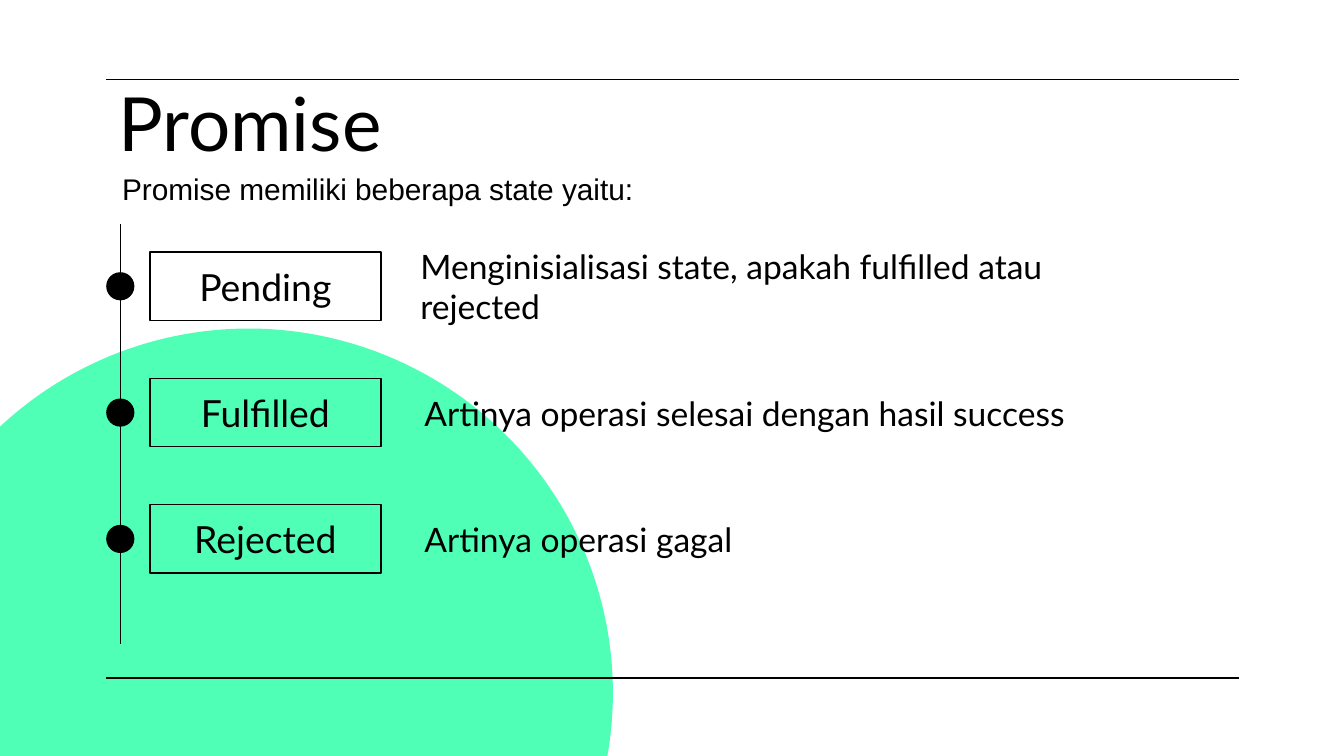
from dataclasses import dataclass

from lxml import etree
from pptx import Presentation
from pptx import util as u
from pptx.dml.color import RGBColor
from pptx.enum import shapes, text
from pptx.oxml.ns import qn

EMU_PER_PX = 4572  # 200 px to the inch
SLIDE_WIDTH, SLIDE_HEIGHT = 2000, 1125
BLACK = RGBColor(0x00, 0x00, 0x00)
MINT = RGBColor(0x4F, 0xFF, 0xB6)

LEFT, RIGHT = 158, 1844
TIMELINE_X = 179
FIRST_ROW_TOP, ROW_PITCH, ROW_HEIGHT = 375, 188, 102
DOT_SIZE, DOT_OFFSET = 42, 30
MEANING_RIGHT = 1726


@dataclass(frozen=True)
class Box:
    left: int
    top: int
    width: int
    height: int

    def emu(self) -> tuple[int, ...]:
        return tuple(px(n) for n in (self.left, self.top, self.width, self.height))


@dataclass(frozen=True)
class State:
    name: str
    meaning: str
    meaning_left: int = 612


STATES = (
    State("Pending", "Menginisialisasi state, apakah fulfilled atau rejected", 606),
    State("Fulfilled", "Artinya operasi selesai dengan hasil success"),
    State("Rejected", "Artinya operasi gagal"),
)


def px(length: int) -> int:
    return u.Emu(length * EMU_PER_PX)


def add_line(slide, x1: int, y1: int, x2: int, y2: int) -> None:
    line = slide.shapes.add_connector(
        shapes.MSO_CONNECTOR.STRAIGHT, px(x1), px(y1), px(x2), px(y2))
    line.line.color.rgb = BLACK
    line.line.width = u.Pt(0.75)
    etree.SubElement(line._element.spPr, qn("a:effectLst"))


def add_circle(slide, box: Box, color: RGBColor) -> None:
    circle = slide.shapes.add_shape(shapes.MSO_SHAPE.OVAL, *box.emu())
    circle.shadow.inherit = False
    circle.fill.solid()
    circle.fill.fore_color.rgb = color
    circle.line.fill.background()


def write(shape, words: str, size: int, font: str = "Lato",
          align=text.PP_ALIGN.LEFT, anchor=text.MSO_ANCHOR.MIDDLE,
          vertical_margin: int = 20, wrap: bool = True,
          auto_size=text.MSO_AUTO_SIZE.NONE) -> None:
    frame = shape.text_frame
    frame_format = {
        "word_wrap": wrap,
        "auto_size": auto_size,
        "vertical_anchor": anchor,
        "margin_left": px(20),
        "margin_right": px(20),
        "margin_top": px(vertical_margin),
        "margin_bottom": px(vertical_margin),
    }
    for name, value in frame_format.items():
        setattr(frame, name, value)
    paragraph = frame.paragraphs[0]
    paragraph.alignment = align
    run = paragraph.add_run()
    run.text = words
    for name, value in {"size": u.Pt(size), "name": font}.items():
        setattr(run.font, name, value)
    run.font.color.rgb = BLACK


def add_text(slide, box: Box, words: str, size: int, **options) -> None:
    write(slide.shapes.add_textbox(*box.emu()), words, size, **options)


def add_state(slide, state: State, top: int) -> None:
    """Draw one timeline row: framed name, meaning and dot."""
    frame = slide.shapes.add_shape(
        shapes.MSO_SHAPE.RECTANGLE, *Box(223, top, 344, ROW_HEIGHT).emu())
    frame.shadow.inherit = False
    frame.fill.background()
    frame.line.color.rgb = BLACK
    frame.line.width = u.Pt(0.75)
    write(frame, state.name, 20, align=text.PP_ALIGN.CENTER)

    width = MEANING_RIGHT - state.meaning_left
    add_text(slide, Box(state.meaning_left, top, width, ROW_HEIGHT), state.meaning, 18)
    add_circle(slide, Box(LEFT, top + DOT_OFFSET, DOT_SIZE, DOT_SIZE), BLACK)


def main() -> None:
    presentation = Presentation()
    presentation.slide_width = px(SLIDE_WIDTH)
    presentation.slide_height = px(SLIDE_HEIGHT)
    slide = presentation.slides.add_slide(presentation.slide_layouts[6])

    add_circle(slide, Box(-172, 489, 1084, 1084), MINT)
    for y in (118, 1009):
        add_line(slide, LEFT, y, RIGHT, y)
    add_text(slide, Box(157, 118, 1688, 126), "Promise", 40)
    add_line(slide, TIMELINE_X, 333, TIMELINE_X, 958)
    for row, state in enumerate(STATES):
        add_state(slide, state, FIRST_ROW_TOP + row * ROW_PITCH)
    add_text(slide, Box(162, 244, 812, 74), "Promise memiliki beberapa state yaitu:", 16,
             font="Arial", anchor=text.MSO_ANCHOR.TOP, vertical_margin=10, wrap=False,
             auto_size=text.MSO_AUTO_SIZE.SHAPE_TO_FIT_TEXT)

    presentation.save("out.pptx")


if __name__ == "__main__":
    main()
